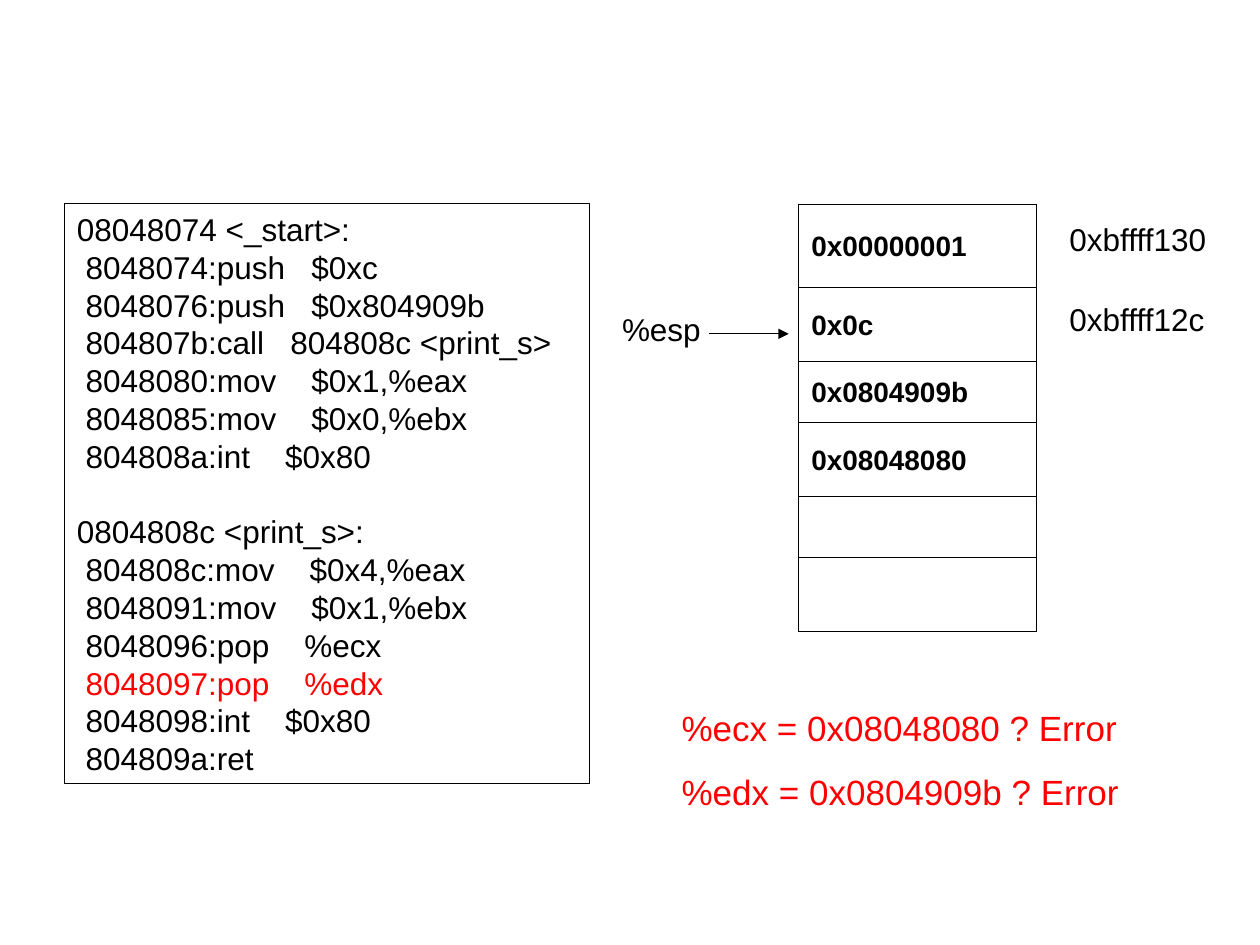
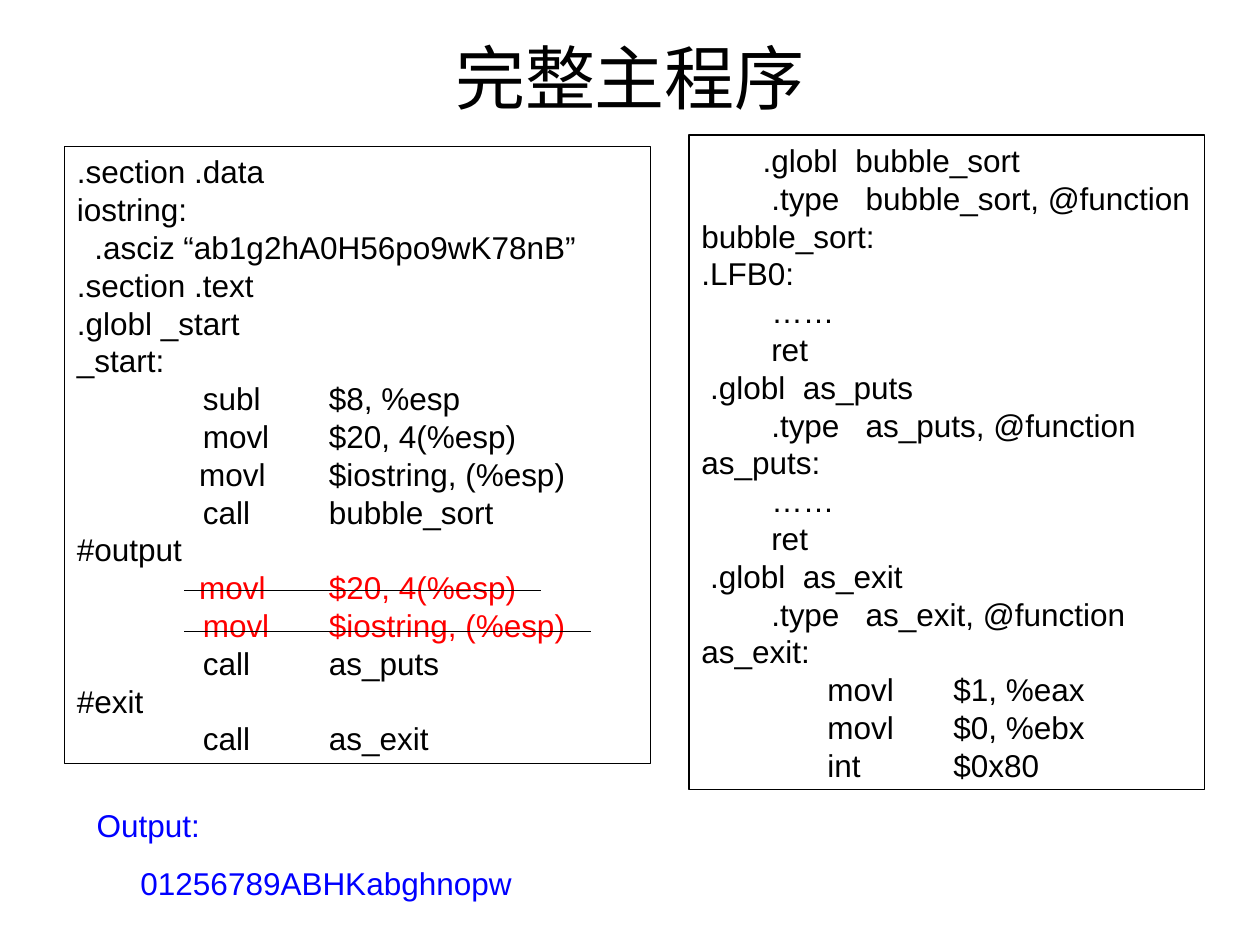
from lxml import etree
from pptx import Presentation
from pptx.dml.color import RGBColor
from pptx.enum import shapes, text
from pptx.oxml import ns
from pptx.util import Cm, Pt

BLACK, RED, BLUE = "000000", "FF0000", "0000FF"
FONT = "Arial"
LINE_HEIGHT = 0.762  # of 18 pt code, in cm

START_AND_PRINT = """08048074 <_start>:
 8048074:push   $0xc
 8048076:push   $0x804909b
 804807b:call   804808c <print_s>
 8048080:mov    $0x1,%eax
 8048085:mov    $0x0,%ebx
 804808a:int    $0x80

0804808c <print_s>:
 804808c:mov    $0x4,%eax
 8048091:mov    $0x1,%ebx
 8048096:pop    %ecx
 8048097:pop    %edx
 8048098:int    $0x80
 804809a:ret"""

MAIN_PROGRAM = """.section .data
iostring:
  .asciz “ab1g2hA0H56po9wK78nB”
.section .text
.globl _start
_start:
\tsubl\t$8, %esp
\tmovl\t$20, 4(%esp)
              movl\t$iostring, (%esp)
\tcall\tbubble_sort
#output
              movl\t$20, 4(%esp)
\tmovl\t$iostring, (%esp)
\tcall\tas_puts
#exit
\tcall\tas_exit"""

FUNCTIONS = """       .globl  bubble_sort
        .type   bubble_sort, @function
bubble_sort:
.LFB0:
        ……
        ret
 .globl  as_puts
        .type   as_puts, @function
as_puts:
        ……
        ret
 .globl  as_exit
        .type   as_exit, @function
as_exit:
\tmovl\t$1, %eax
\tmovl\t$0, %ebx
\tint\t$0x80"""


def paint(color_format, color):
    color_format.rgb = RGBColor.from_string(color)


def write(frame, content, size=18, color=BLACK, bold=False, align=None,
          pitch=1.2, gap=0, indent=0, red_lines=()):
    """Fill a frame line by line; an empty line becomes space before the next.

    gap is the space between paragraphs and indent the left margin of all
    but the first, both in points; red_lines holds indexes of red lines.
    """
    frame.word_wrap = True
    paragraph, extra = None, 0
    for index, line in enumerate(content.split("\n")):
        if not line:
            extra = size * pitch
            continue
        first = paragraph is None
        paragraph = frame.paragraphs[0] if first else frame.add_paragraph()
        properties = paragraph._p.get_or_add_pPr()
        if "\t" in line:
            tabs = etree.SubElement(properties, ns.qn("a:tabLst"))
            for inch in (1, 2):
                etree.SubElement(tabs, ns.qn("a:tab"),
                                 pos=str(Cm(2.54 * inch)), algn="l")
        if indent and not first:
            properties.set("marL", str(Pt(indent)))
        paragraph.alignment = align or text.PP_ALIGN.LEFT
        paragraph.space_before = Pt(0 if first else gap + extra)
        if pitch:
            paragraph.line_spacing = Pt(size * pitch)
        run = paragraph.add_run()
        run.text = line
        run.font.name, run.font.size, run.font.bold = FONT, Pt(size), bold
        paint(run.font.color, RED if index in red_lines else color)
        extra = 0


prs = Presentation()
prs.slide_width, prs.slide_height = Cm(25.4), Cm(19.05)
stack_slide = prs.slides.add_slide(prs.slide_layouts[6])
program_slide = prs.slides.add_slide(prs.slide_layouts[5])

# Title
title = program_slide.shapes.title
title.left, title.top, title.width, title.height = Cm(1.27), Cm(0.76), Cm(22.86), Cm(1.55)
title.text_frame.vertical_anchor = text.MSO_ANCHOR.MIDDLE
write(title.text_frame, "完整主程序", size=40, align=text.PP_ALIGN.CENTER, pitch=None)

# Framed code listings
for slide, left, top, width, code, red_lines in (
    (stack_slide, 1.3, 4.11, 10.59, START_AND_PRINT, (12,)),
    (program_slide, 1.3, 2.95, 11.81, MAIN_PROGRAM, (11, 12)),
    (program_slide, 13.89, 2.72, 10.39, FUNCTIONS, ()),
):
    height = len(code.split("\n")) * LINE_HEIGHT + 0.25
    listing = slide.shapes.add_shape(shapes.MSO_SHAPE.RECTANGLE,
                                     Cm(left), Cm(top), Cm(width), Cm(height))
    listing.shadow.inherit = False
    listing.fill.background()
    listing.line.width = Pt(0.75)
    paint(listing.line.color, BLACK)
    listing.text_frame.vertical_anchor = text.MSO_ANCHOR.TOP
    write(listing.text_frame, code, red_lines=red_lines)

# Stack contents
stack_rows = (("0x00000001", 1.68), ("0x0c", 1.5), ("0x0804909b", 1.22),
              ("0x08048080", 1.5), ("", 1.22), ("", 1.5))
stack = stack_slide.shapes.add_table(len(stack_rows), 1, Cm(16.1), Cm(4.11),
                                     Cm(4.8), Cm(8.62)).table
stack.first_row = stack.horz_banding = False
for row, (value, height) in zip(stack.rows, stack_rows):
    row.height = Cm(height)
    cell = row.cells[0]
    cell.vertical_anchor = text.MSO_ANCHOR.MIDDLE
    write(cell.text_frame, value, size=16, bold=True)
    cell_properties = cell._tc.get_or_add_tcPr()
    for side in ("lnL", "lnR", "lnT", "lnB"):
        border = etree.SubElement(cell_properties, ns.qn(f"a:{side}"), w=str(Pt(0.45)))
        border_fill = etree.SubElement(border, ns.qn("a:solidFill"))
        etree.SubElement(border_fill, ns.qn("a:srgbClr"), val=BLACK)
    cell.fill.background()

# Addresses, register values and program output
for slide, left, top, width, height, content, style in (
    (stack_slide, 21.31, 4.32, 3.4, 1.02, "0xbffff130", {}),
    (stack_slide, 21.31, 5.92, 3.4, 1.02, "0xbffff12c", {}),
    (stack_slide, 12.29, 6.12, 2.21, 1.02, "%esp", {}),
    (stack_slide, 13.49, 14.12, 10.21, 2.39,
     "%ecx = 0x08048080 ? Error\n%edx = 0x0804909b ? Error",
     {"size": 20, "color": RED, "gap": 12.5}),
    (program_slide, 1.7, 16.13, 9.19, 2.18, "Output:\n01256789ABHKabghnopw",
     {"color": BLUE, "gap": 11.2, "indent": 25}),
):
    label = slide.shapes.add_textbox(Cm(left), Cm(top), Cm(width), Cm(height))
    write(label.text_frame, content, **style)

# Stack pointer arrow and strike-out lines
for slide, start, end, y, has_arrow in (
    (stack_slide, 14.3, 15.9, 6.73, True),
    (program_slide, 3.71, 10.9, 11.91, False),
    (program_slide, 3.71, 11.91, 12.73, False),
):
    stroke = slide.shapes.add_connector(shapes.MSO_CONNECTOR.STRAIGHT,
                                        Cm(start), Cm(y), Cm(end), Cm(y))
    stroke.line.width = Pt(0.75)
    paint(stroke.line.color, BLACK)
    if has_arrow:
        etree.SubElement(stroke.line._get_or_add_ln(), ns.qn("a:tailEnd"), type="triangle")
    etree.SubElement(stroke._element.spPr, ns.qn("a:effectLst"))

prs.save("out.pptx")
